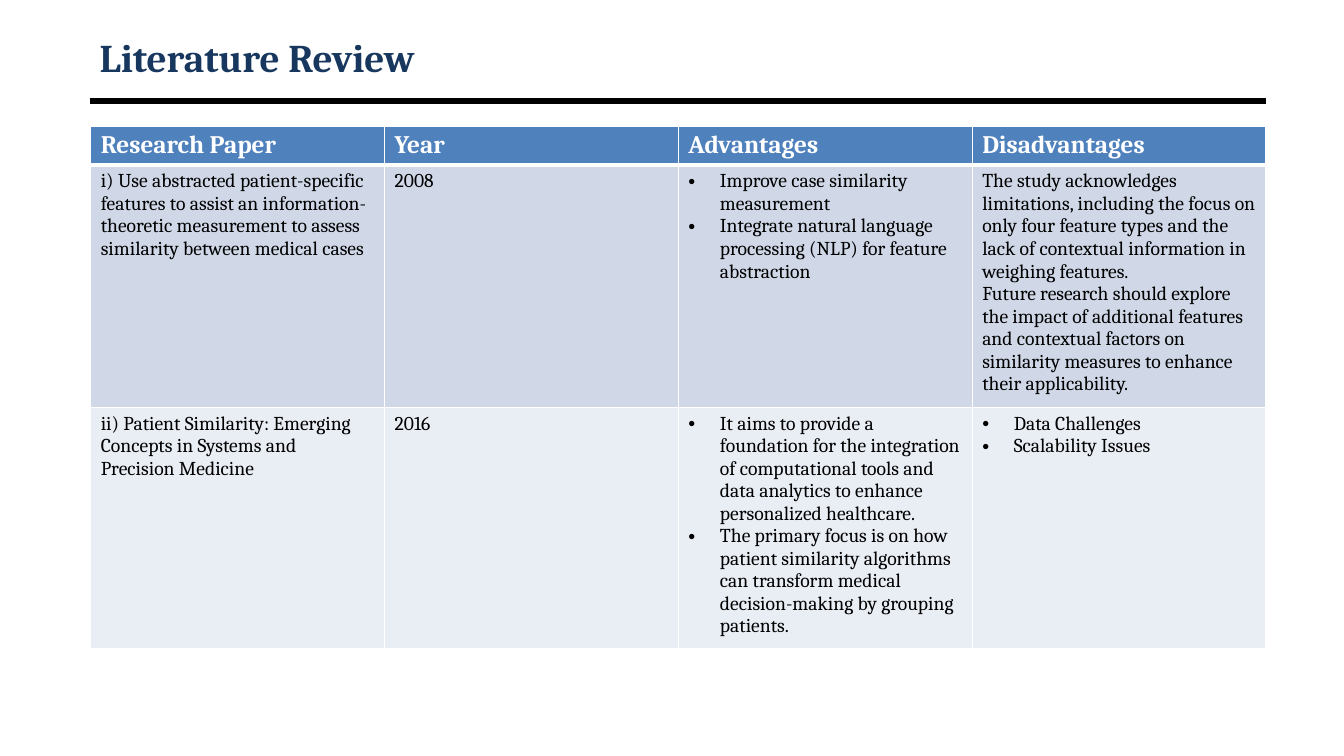
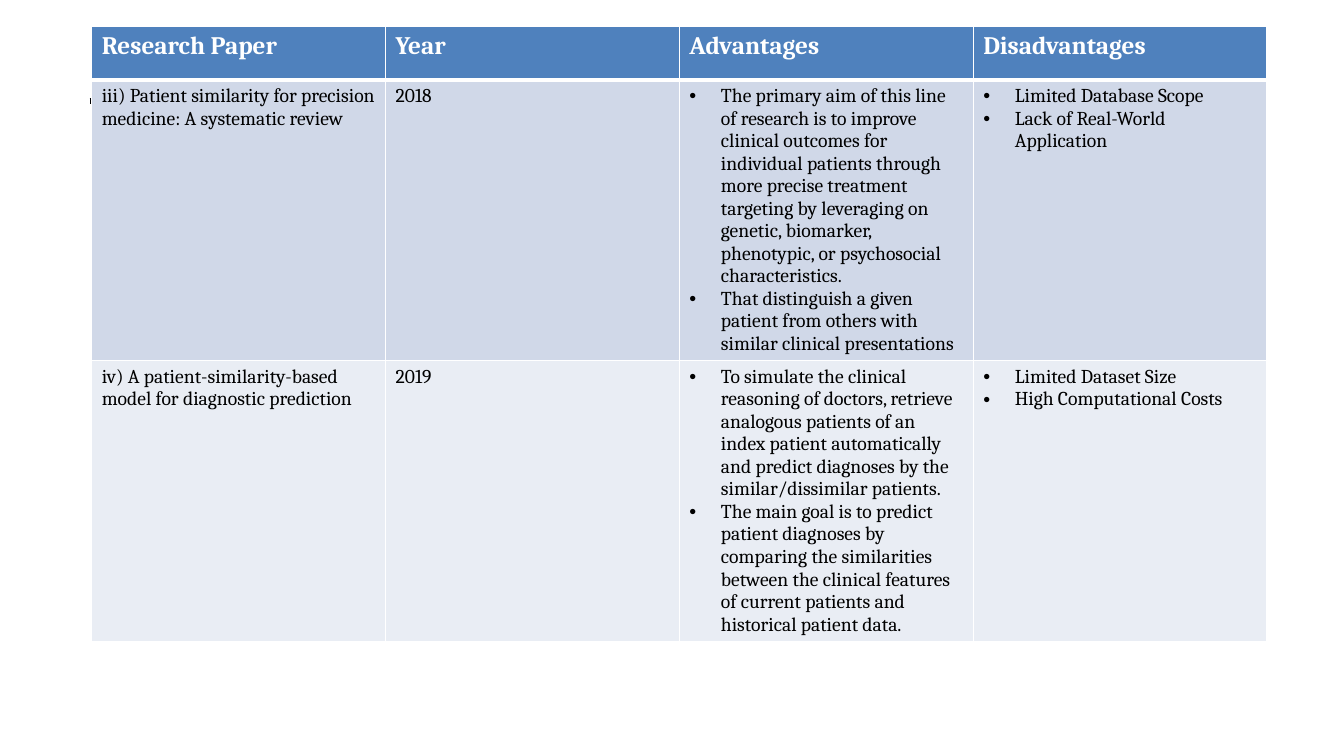
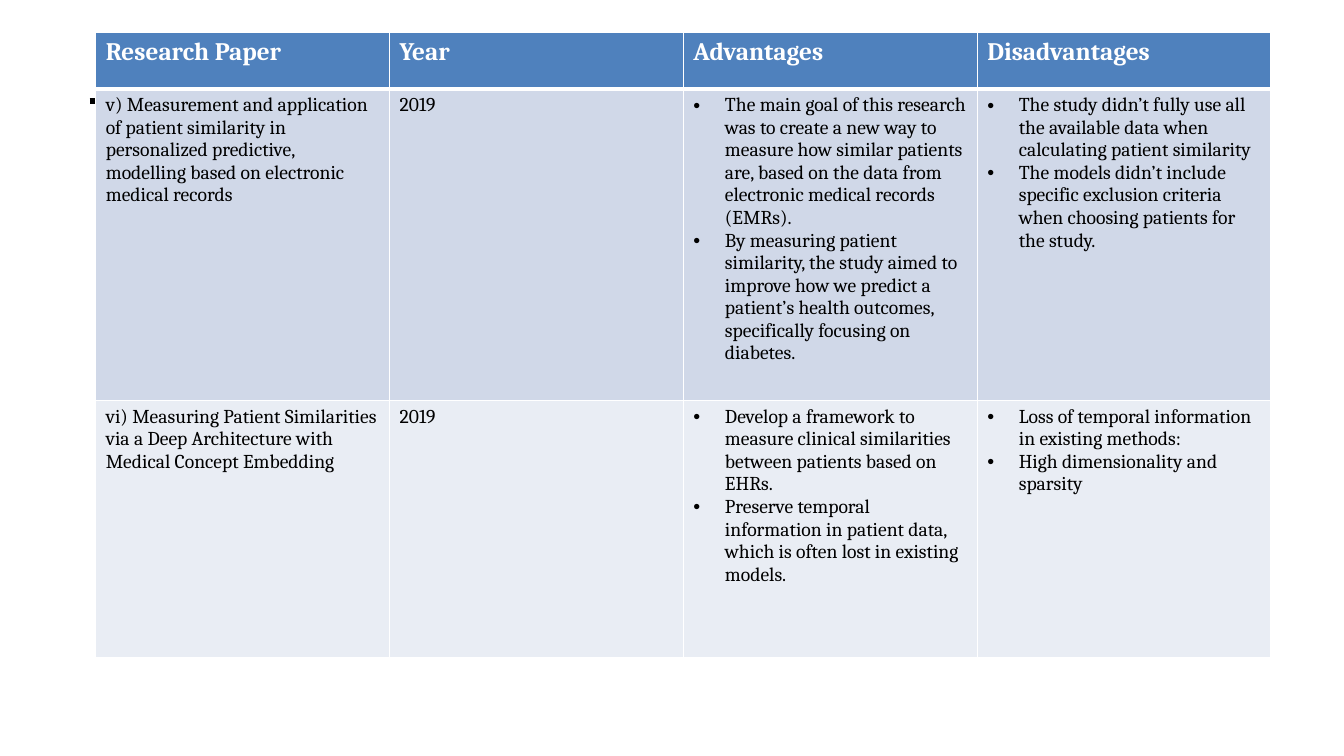
from lxml import etree
from pptx import Presentation
from pptx.dml.color import RGBColor
from pptx.enum import shapes, text
from pptx.oxml.ns import qn
from pptx.util import Pt

NAVY = RGBColor(0x17, 0x37, 0x5E)
BLUE = RGBColor(0x4F, 0x81, 0xBD)
BLACK = RGBColor(0, 0, 0)
WHITE = RGBColor(0xFF, 0xFF, 0xFF)
BANDS = [RGBColor(0xD0, 0xD8, 0xE8), RGBColor(0xE9, 0xED, 0xF4)]
FONT = "Cambria"
LEFT, WIDTH = 64, 840
COLUMN_WIDTH = 209.9
BULLET_INDENT = 22.5
HEADER = ["Research Paper", "Year", "Advantages", "Disadvantages"]

# In a cell, a list becomes bullets and a string becomes plain paragraphs.
SLIDES = [
    dict(title="Literature Review", at=(64.8, 90), heights=(26.5, 173, 172), papers=[
        ["i) Use abstracted patient-specific features to assist an information-theoretic "
         "measurement to assess similarity between medical cases",
         "2008",
         ["Improve case similarity measurement",
          "Integrate natural language processing (NLP) for feature abstraction"],
         "The study acknowledges limitations, including the focus on only four feature types "
         "and the lack of contextual information in weighing features.\n"
         "Future research should explore the impact of additional features and contextual "
         "factors on similarity measures to enhance their applicability."],
        ["ii) Patient Similarity: Emerging Concepts in Systems and Precision Medicine",
         "2016",
         ["It aims to provide a foundation for the integration of computational tools and "
          "data analytics to enhance personalized healthcare.",
          "The primary focus is on how patient similarity algorithms can transform medical "
          "decision-making by grouping patients."],
         ["Data Challenges", "Scalability Issues"]],
    ]),
    dict(title=None, at=(65.5, 19), heights=(38, 200.5, 200.5), papers=[
        ["iii) Patient similarity for precision medicine: A systematic review",
         "2018",
         ["The primary aim of this line of research is to improve clinical outcomes for "
          "individual patients through more precise treatment targeting by leveraging on "
          "genetic, biomarker, phenotypic, or psychosocial characteristics.",
          "That distinguish a given patient from others with similar clinical presentations"],
         ["Limited Database Scope", "Lack of Real-World Application"]],
        ["iv) A patient-similarity-based model for diagnostic prediction",
         "2019",
         ["To simulate the clinical reasoning of doctors, retrieve analogous patients of an "
          "index patient automatically and predict diagnoses by the similar/dissimilar patients.",
          "The main goal is to predict patient diagnoses by comparing the similarities between "
          "the clinical features of current patients and historical patient data."],
         ["Limited Dataset Size", "High Computational Costs"]],
    ]),
    dict(title=None, at=(68.4, 23.2), heights=(40.5, 222.5, 183.5), papers=[
        ["v) Measurement and application of patient similarity in personalized predictive, "
         "modelling based on electronic medical records",
         "2019",
         ["The main goal of this research was to create a new way to measure how similar "
          "patients are, based on the data from electronic medical records (EMRs).",
          "By measuring patient similarity, the study aimed to improve how we predict a "
          "patient’s health outcomes, specifically focusing on diabetes."],
         ["The study didn’t fully use all the available data when calculating patient similarity",
          "The models didn’t include specific exclusion criteria when choosing patients for "
          "the study."]],
        ["vi) Measuring Patient Similarities via a Deep Architecture with Medical Concept Embedding",
         "2019",
         ["Develop a framework to measure clinical similarities between patients based on EHRs.",
          "Preserve temporal information in patient data, which is often lost in existing models."],
         ["Loss of temporal information in existing methods:",
          "High dimensionality and sparsity"]],
    ]),
]


def add_run(p, words, size, color, bold):
    r = p.add_run()
    r.text = words
    r.font.name = FONT
    r.font.size = Pt(size)
    r.font.bold = bold
    r.font.color.rgb = color


def fill_cell(cell, content, row):
    """Write one cell with its white borders; row 0 is the header."""
    tcPr = cell._tc.get_or_add_tcPr()
    widths = {"lnL": 1, "lnR": 1, "lnT": 3 if row == 1 else 1, "lnB": 3 if row == 0 else 1}
    for side, width in widths.items():
        ln = etree.SubElement(tcPr, qn(f"a:{side}"), w=str(Pt(width)))
        solid = etree.SubElement(ln, qn("a:solidFill"))
        etree.SubElement(solid, qn("a:srgbClr"), val=str(WHITE))
    cell.fill.solid()
    cell.fill.fore_color.rgb = BANDS[row - 1] if row else BLUE

    bulleted = isinstance(content, list)
    tf = cell.text_frame
    for i, words in enumerate(content if bulleted else content.split("\n")):
        p = tf.add_paragraph() if i else tf.paragraphs[0]
        if bulleted:
            pPr = p._p.get_or_add_pPr()
            pPr.set("marL", str(Pt(BULLET_INDENT)))
            pPr.set("indent", str(-Pt(BULLET_INDENT)))
            etree.SubElement(pPr, qn("a:buFont"), typeface="Arial")
            etree.SubElement(pPr, qn("a:buChar"), char="•")
        if row:
            add_run(p, words, 14, BLACK, False)
        else:
            add_run(p, words, 18, WHITE, True)


prs = Presentation()
prs.slide_width, prs.slide_height = Pt(960), Pt(540)
layout = prs.slide_layouts[5]

for number, content in enumerate(SLIDES):
    s = prs.slides.add_slide(layout)

    if number == 0:
        # The rule is shared: it is made once and moved to the layout.
        rule = s.shapes.add_connector(shapes.MSO_CONNECTOR.STRAIGHT,
                                      Pt(LEFT), Pt(72), Pt(LEFT + WIDTH), Pt(72))
        rule.line.color.rgb = BLACK
        rule.line.width = Pt(4.5)
        etree.SubElement(rule._element.spPr, qn("a:effectLst"))
        layout.shapes.element.append(rule._element)

    title = s.shapes.title
    if content["title"]:
        title.left, title.top, title.width, title.height = Pt(LEFT), Pt(21.6), Pt(WIDTH), Pt(38)
        title.text_frame.vertical_anchor = text.MSO_ANCHOR.MIDDLE
        p = title.text_frame.paragraphs[0]
        p.alignment = text.PP_ALIGN.LEFT
        add_run(p, content["title"], 28, NAVY, True)
    else:
        title.element.getparent().remove(title.element)

    rows = [HEADER] + content["papers"]
    left, top = content["at"]
    table = s.shapes.add_table(len(rows), len(HEADER), Pt(left), Pt(top),
                               Pt(COLUMN_WIDTH * len(HEADER)), Pt(sum(content["heights"]))).table
    for column in table.columns:
        column.width = Pt(COLUMN_WIDTH)
    for i, row in enumerate(rows):
        table.rows[i].height = Pt(content["heights"][i])
        for j, value in enumerate(row):
            fill_cell(table.cell(i, j), value, i)

prs.save("out.pptx")
